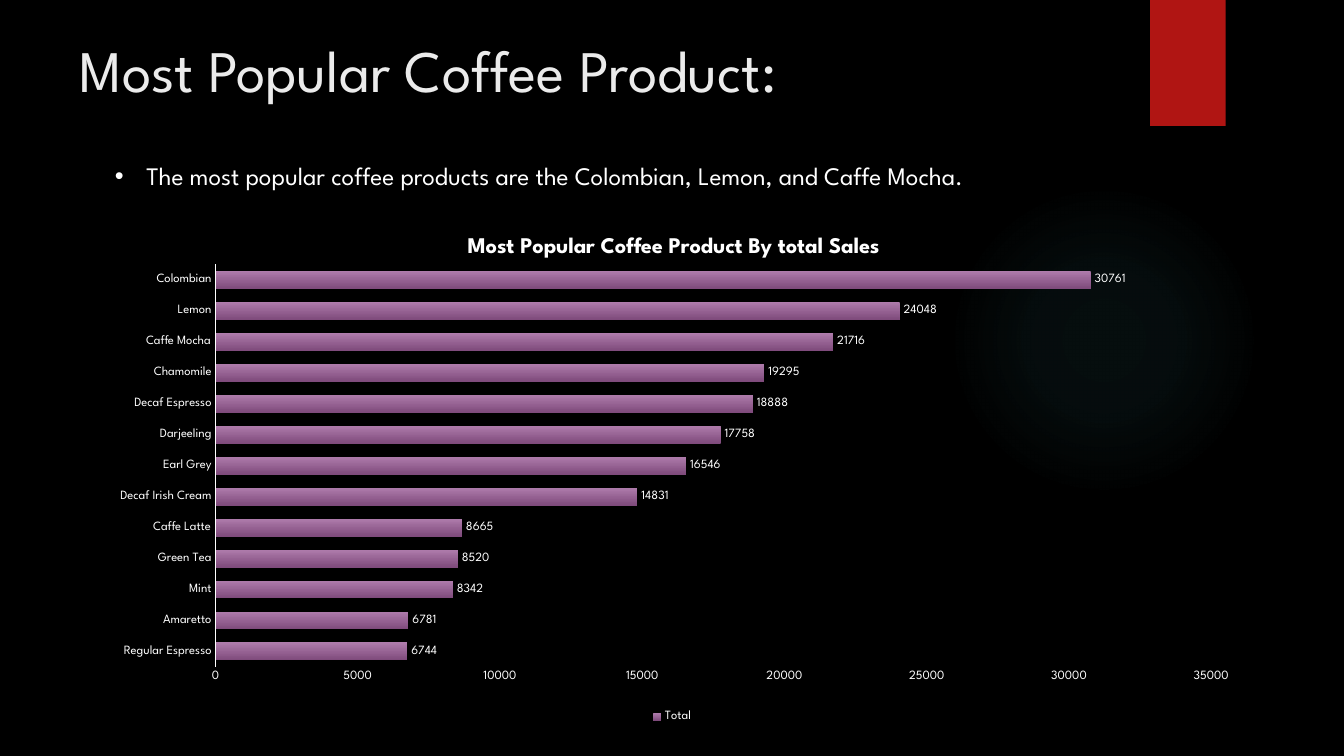
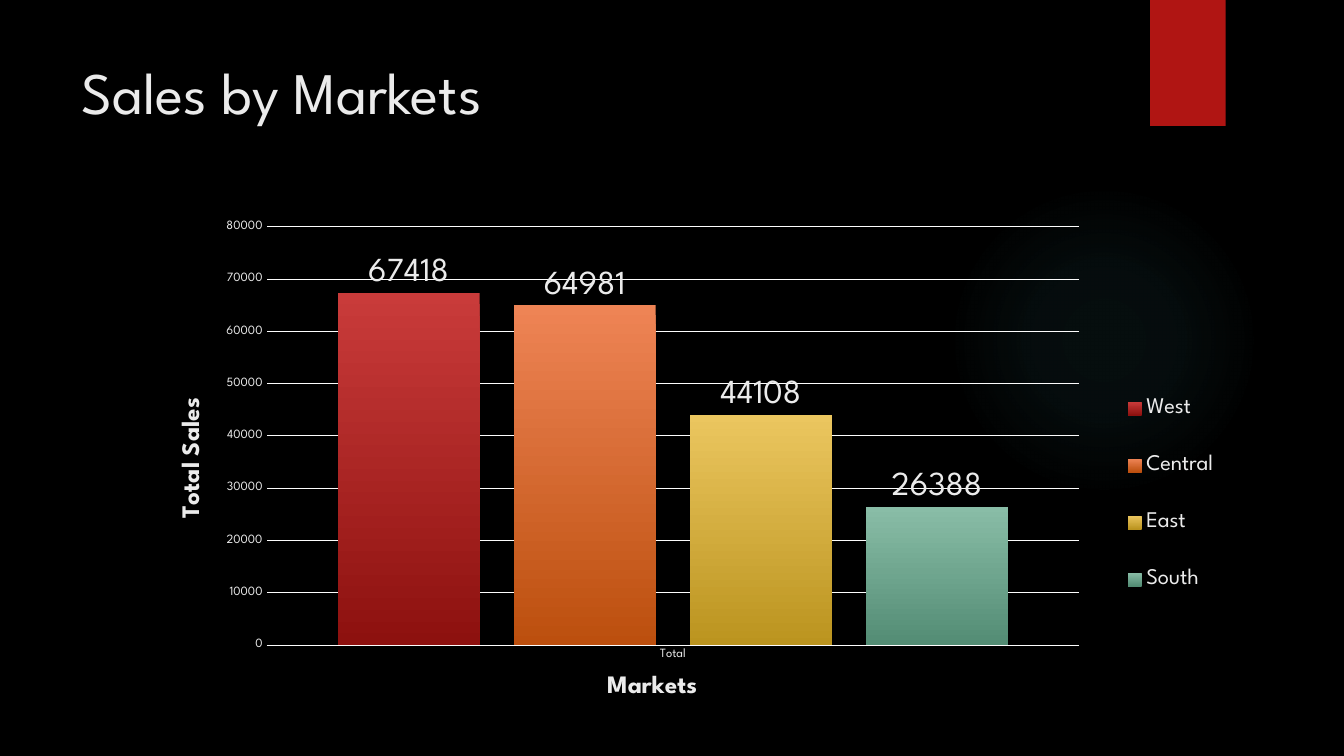
from dataclasses import dataclass

from lxml.etree import SubElement
from pptx import Presentation
from pptx.chart.data import CategoryChartData
from pptx.dml.color import RGBColor
from pptx.enum.chart import XL_CHART_TYPE, XL_LABEL_POSITION, XL_LEGEND_POSITION, XL_TICK_MARK
from pptx.enum.shapes import MSO_SHAPE
from pptx.enum.text import MSO_ANCHOR
from pptx.oxml import parse_xml
from pptx.oxml.ns import nsdecls, qn
from pptx.util import Pt


@dataclass(frozen=True)
class Theme:
    font: str = "League Spartan"
    back: str = "000000"
    band: str = "B01513"
    glow: str = "50B9C1"
    white: str = "FFFFFF"
    soft: str = "EBEBEB"
    grid: str = "FCFCFC"
    plum: tuple = ("AF7CAC", "7F4B7C")
    red: tuple = ("C93B3A", "8D110F")
    orange: tuple = ("EE8455", "BC4F0E")
    gold: tuple = ("EBC65F", "BB941F")
    green: tuple = ("89BDA7", "538C74")
    title_size: int = 42
    value_size: int = 24
    body_size: int = 18
    heading_size: int = 16
    axis_size: int = 9


T = Theme()


def rgb(color):
    return RGBColor.from_string(color)


def style_font(font, size, color, bold=False):
    font.name, font.size, font.bold = T.font, Pt(size), bold
    font.color.rgb = rgb(color)


def shade(fill, colors):
    """Fill from the first colour at the top to the second at the bottom."""
    fill.gradient()
    fill.gradient_angle = 270
    for stop, color in zip(fill.gradient_stops, colors):
        stop.color.rgb = rgb(color)


def place(element, index, **parts):
    """Give a chart part a manual layout in fractions of the chart."""
    old = element.find(qn("c:layout"))
    if old is not None:
        element.remove(old)
    layout = parse_xml(f"<c:layout {nsdecls('c')}/>")
    manual = SubElement(layout, qn("c:manualLayout"))
    if index == 0:
        SubElement(manual, qn("c:layoutTarget")).set("val", "inner")
    for axis in "xy":
        SubElement(manual, qn(f"c:{axis}Mode")).set("val", "edge")
    for key, value in parts.items():
        SubElement(manual, qn(f"c:{key}")).set("val", str(value))
    element.insert(index, layout)


class Deck:
    def __init__(self):
        self.prs = Presentation()
        self.prs.slide_width, self.prs.slide_height = Pt(960), Pt(540)
        fill = self.prs.slide_master.background.fill
        fill.solid()
        fill.fore_color.rgb = rgb(T.back)
        self.s = None

    def slide(self, title, x, y):
        self.s = self.prs.slides.add_slide(self.prs.slide_layouts[6])
        self.glow()
        self.band()
        self.text(title, (x, y, 741, 110), T.title_size, T.soft)

    def shape(self, kind, box):
        sp = self.s.shapes.add_shape(kind, *map(Pt, box))
        sp.shadow.inherit = False
        sp.line.fill.background()
        return sp

    def glow(self):
        sp = self.shape(MSO_SHAPE.OVAL, (677.5, 131.8, 221.8, 221.8))
        stops = "".join(
            f'<a:gs pos="{pos}000"><a:srgbClr val="{T.glow}"><a:alpha val="{alpha}000"/></a:srgbClr></a:gs>'
            for pos, alpha in ((0, 7), (36, 6), (69, 0))
        )
        geometry = sp._element.spPr.find(qn("a:prstGeom"))
        geometry.addnext(parse_xml(
            f'<a:gradFill {nsdecls("a")} rotWithShape="1"><a:gsLst>{stops}</a:gsLst>'
            '<a:path path="circle"><a:fillToRect l="50000" t="50000" r="50000" b="50000"/></a:path>'
            "</a:gradFill>"
        ))

    def band(self):
        sp = self.shape(MSO_SHAPE.RECTANGLE, (821.5, 0, 54, 90))
        sp.fill.solid()
        sp.fill.fore_color.rgb = rgb(T.band)

    def text(self, text, box, size, color):
        tf = self.s.shapes.add_textbox(*map(Pt, box)).text_frame
        tf.word_wrap = True
        tf.vertical_anchor = MSO_ANCHOR.TOP
        p = tf.paragraphs[0]
        p.text = text
        style_font(p.font, size, color)
        return p

    def bullet(self, text, box):
        pPr = self.text(text, box, T.body_size, T.white)._p.get_or_add_pPr()
        indent = Pt(22.5)
        pPr.set("marL", str(indent))
        pPr.set("indent", str(-indent))
        pPr.insert(0, parse_xml(f'<a:buChar {nsdecls("a")} char="•"/>'))
        pPr.insert(0, parse_xml(f'<a:buFont {nsdecls("a")} typeface="Arial"/>'))

    def chart(self, kind, box, cats, series, plot_box, gap, color, label_size):
        """Add a chart; series holds (name, values, gradient) triples."""
        data = CategoryChartData()
        data.categories = cats
        for name, values, _ in series:
            data.add_series(name, values)
        chart = self.s.shapes.add_chart(kind, *map(Pt, box), data).chart
        chart.has_title = False
        style_font(chart.font, T.axis_size, color)
        place(chart._chartSpace.chart.plotArea, 0, **dict(zip("xywh", plot_box)))

        plot = chart.plots[0]
        plot.gap_width = gap
        plot.vary_by_categories = False
        for ser, (_, _, colors) in zip(plot.series, series):
            shade(ser.format.fill, colors)
            labels = ser.data_labels
            labels.show_value = True
            labels.position = XL_LABEL_POSITION.OUTSIDE_END
            style_font(labels.font, label_size, color)

        for axis in (chart.category_axis, chart.value_axis):
            axis.major_tick_mark = axis.minor_tick_mark = XL_TICK_MARK.NONE
            axis.has_major_gridlines = False
            style_font(axis.tick_labels.font, T.axis_size, color)
        chart.value_axis.format.line.fill.background()
        return chart

    def line(self, line, color, width):
        line.color.rgb = rgb(color)
        line.width = Pt(width)

    def heading(self, title, text, size, color, x, y, rotation=0):
        """Fill and place a chart title or an axis title."""
        tf = title.text_frame
        tf.text = text
        tf._txBody.bodyPr.set("rot", str(rotation * 60000))
        style_font(tf.paragraphs[0].font, size, color, bold=True)
        place(title._element, 1, x=x, y=y)

    def legend(self, chart, position, size, color):
        chart.has_legend = True
        legend = chart.legend
        legend.position = position
        legend.include_in_layout = False
        style_font(legend.font, size, color)
        return legend


def product_slide(deck):
    deck.slide("Most Popular Coffee Product:", 49.7, 20.2)
    sales = {
        "Regular Espresso": 6744, "Amaretto": 6781, "Mint": 8342, "Green Tea": 8520,
        "Caffe Latte": 8665, "Decaf Irish Cream": 14831, "Earl Grey": 16546,
        "Darjeeling": 17758, "Decaf Espresso": 18888, "Chamomile": 19295,
        "Caffe Mocha": 21716, "Lemon": 24048, "Colombian": 30761,
    }
    chart = deck.chart(
        XL_CHART_TYPE.BAR_CLUSTERED, (66.2, 154.1, 828, 365), list(sales),
        [("Total", list(sales.values()), T.plum)],
        (0.106, 0.095, 0.859, 0.788), 75, T.white, T.axis_size,
    )
    chart.has_title = True
    deck.heading(chart.chart_title, "Most Popular Coffee Product By total Sales",
                 T.heading_size, T.white, 0.32, 0.03)
    deck.line(chart.category_axis.format.line, T.white, 1)
    deck.legend(chart, XL_LEGEND_POSITION.BOTTOM, T.axis_size, T.white)
    deck.bullet("The most popular coffee products are the Colombian, Lemon, and Caffe Mocha.",
                (74.9, 110.9, 790, 28.8))


def market_slide(deck):
    deck.slide("Sales by Markets", 51.1, 36)
    series = [
        ("West", [67418], T.red),
        ("Central", [64981], T.orange),
        ("East", [44108], T.gold),
        ("South", [26388], T.green),
    ]
    chart = deck.chart(
        XL_CHART_TYPE.COLUMN_CLUSTERED, (66.2, 126.7, 828, 378), ["Total"], series,
        (0.15, 0.094, 0.701, 0.792), 100, T.soft, T.value_size,
    )
    chart.plots[0].overlap = -24
    cat, val = chart.category_axis, chart.value_axis
    val.has_major_gridlines = True
    for line in (cat.format.line, val.major_gridlines.format.line):
        deck.line(line, T.grid, 0.75)
    deck.heading(cat.axis_title, "Markets", T.body_size, T.soft, 0.44, 0.93)
    deck.heading(val.axis_title, "Total Sales", T.body_size, T.soft, 0.07, 0.41, rotation=-90)
    legend = deck.legend(chart, XL_LEGEND_POSITION.RIGHT, T.heading_size, T.soft)
    place(legend._element, 1, x=0.88, y=0.35, w=0.1, h=0.5)


def main():
    deck = Deck()
    product_slide(deck)
    market_slide(deck)
    deck.prs.save("out.pptx")


if __name__ == "__main__":
    main()
